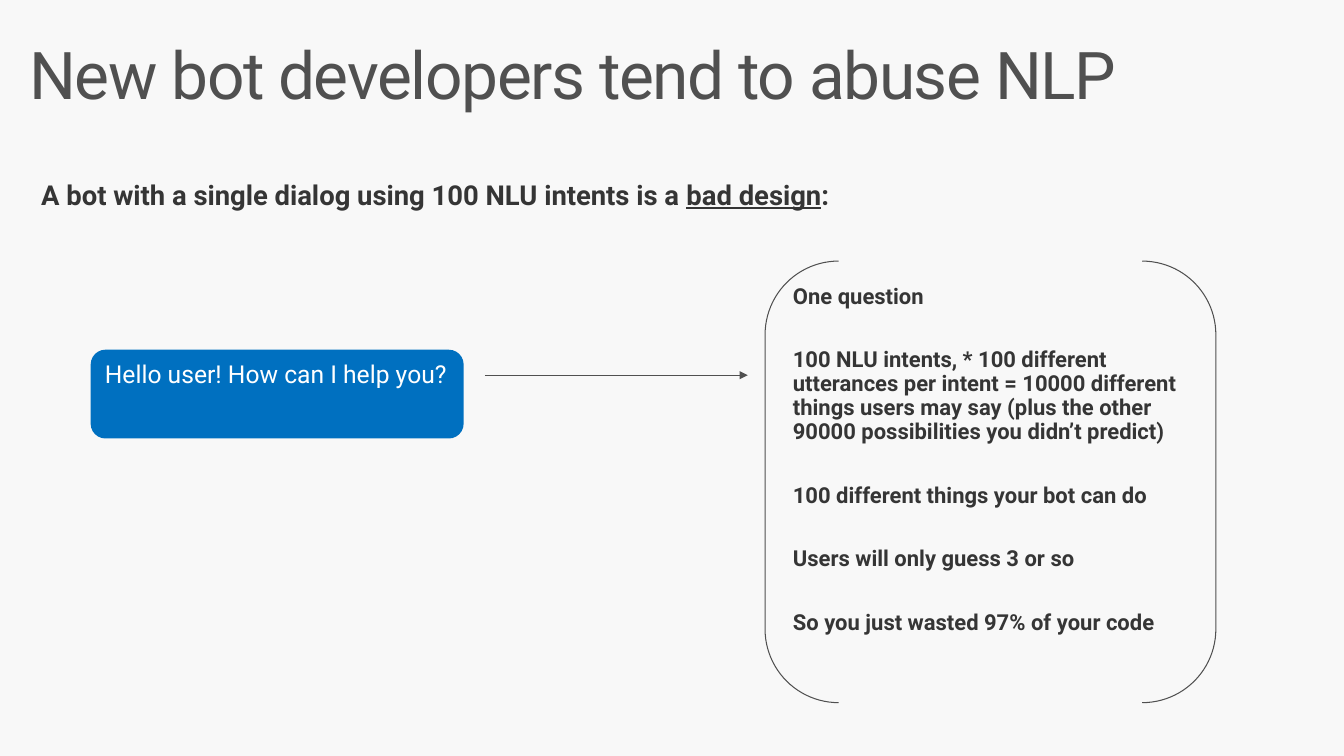
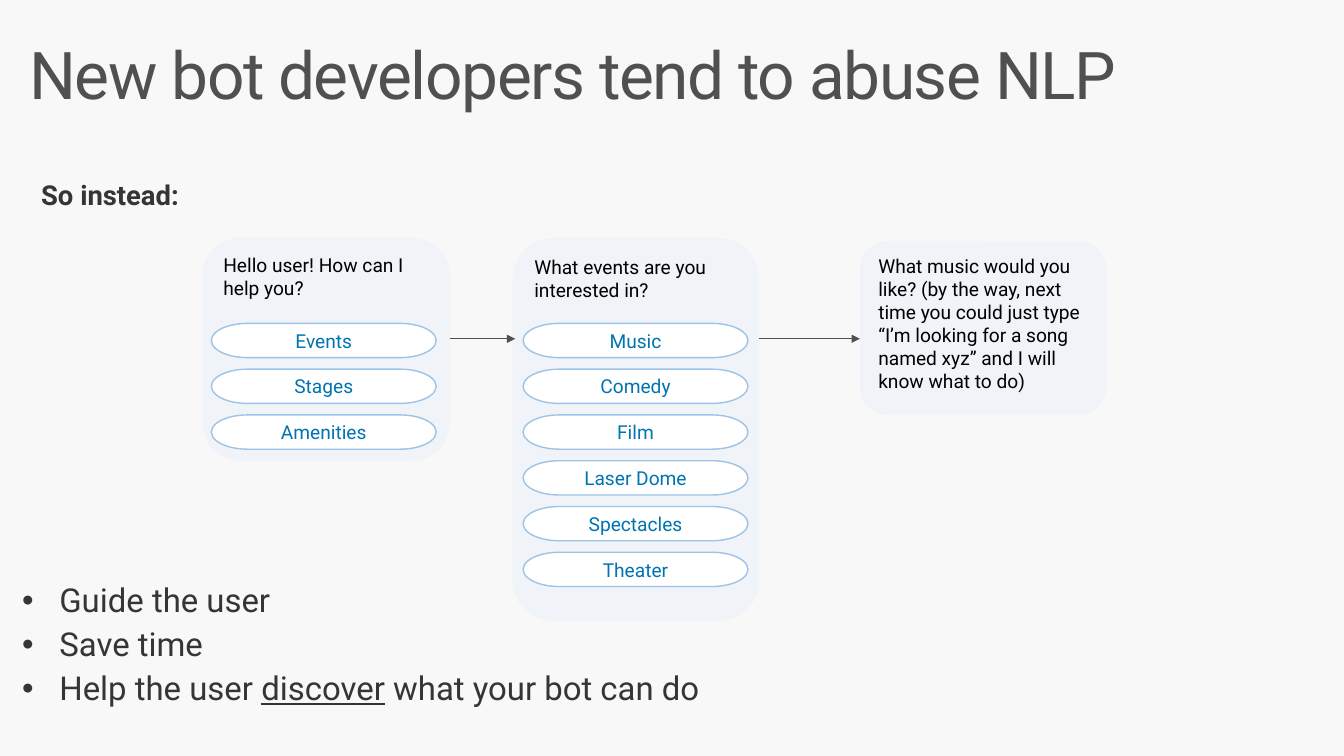
from lxml import etree
from pptx import Presentation
from pptx.dml.color import RGBColor
from pptx.enum import shapes, text
from pptx.oxml.ns import qn
from pptx.util import Pt


def tint(code):
    return RGBColor.from_string(code)


class Deck:
    """Holds the shared style and draws on the current slide."""

    font = "Roboto"
    back, head, ink = "F8F8F8", "505050", "353535"
    card_fill, edge, link = "F0F4F8", "9DC3E6", "0074AF"
    blue, white, black = "0070C0", "FFFFFF", "000000"
    kinds = shapes.MSO_SHAPE

    def __init__(self):
        self.prs = Presentation()
        self.prs.slide_width, self.prs.slide_height = Pt(960), Pt(540)

    def page(self, title, lead):
        self.slide = self.prs.slides.add_slide(self.prs.slide_layouts[6])
        fill = self.slide.background.fill
        fill.solid()
        fill.fore_color.rgb = tint(self.back)
        box = self.note([title], 9.4, 23, 918, 70.6, 47, self.head, pad=(11.5, 7.2))
        for run in box.text_frame.paragraphs[0].runs:
            run._r.get_or_add_rPr().set("spc", "-100")
        self.note([lead], 15, 119, 893, 44, 19.6, self.ink, bold=True)

    def put(self, para, line, size, color, bold=False):
        for i, part in enumerate(line.split("|")):
            run = para.add_run()
            run.text = part
            font = run.font
            font.name, font.size, font.bold = self.font, Pt(size), bold
            font.underline = i % 2 == 1
            font.color.rgb = tint(color)

    def note(self, lines, x, y, w, h, size, color, bold=False, gap=5.9,
             pad=(14.4, 11.5), dots=False):
        box = self.slide.shapes.add_textbox(Pt(x), Pt(y), Pt(w), Pt(h))
        frame = box.text_frame
        frame.word_wrap = True
        frame.margin_left = frame.margin_right = Pt(pad[0])
        frame.margin_top = frame.margin_bottom = Pt(pad[1])
        for i, line in enumerate(lines):
            para = frame.add_paragraph() if i else frame.paragraphs[0]
            para.line_spacing, para.space_after = 0.9, Pt(gap)
            if dots:
                props = para._p.get_or_add_pPr()
                props.set("marL", str(Pt(26.6)))
                props.set("indent", str(-Pt(26.6)))
                etree.SubElement(props, qn("a:buFont")).set("typeface", "Arial")
                etree.SubElement(props, qn("a:buChar")).set("char", "•")
            self.put(para, line, size, color, bold)
        return box

    def shape(self, kind, x, y, w, h, fill=None, line=None, width=0.75):
        item = self.slide.shapes.add_shape(kind, Pt(x), Pt(y), Pt(w), Pt(h))
        item.shadow.inherit = False
        if fill:
            item.fill.solid()
            item.fill.fore_color.rgb = tint(fill)
        else:
            item.fill.background()
        if line:
            item.line.color.rgb = tint(line)
            item.line.width = Pt(width)
        else:
            item.line.fill.background()
        return item

    def label(self, item, line, size, color, mid=False):
        frame = item.text_frame
        frame.word_wrap = True
        frame.vertical_anchor = text.MSO_ANCHOR.MIDDLE if mid else text.MSO_ANCHOR.TOP
        para = frame.paragraphs[0]
        para.alignment = text.PP_ALIGN.CENTER if mid else text.PP_ALIGN.LEFT
        self.put(para, line, size, color)

    def card(self, line, x, y, w, h, size=13.7, fill=card_fill, color=black):
        item = self.shape(self.kinds.ROUNDED_RECTANGLE, x, y, w, h, fill)
        self.label(item, line, size, color)

    def menu(self, names, x, y):
        for i, name in enumerate(names):
            pill = self.shape(self.kinds.FLOWCHART_TERMINATOR, x, y + i * 32.7,
                              160.6, 24.5, self.white, self.edge, 1)
            self.label(pill, name, 13.7, self.link, mid=True)

    def arrow(self, x, end, y):
        line = self.slide.shapes.add_connector(
            shapes.MSO_CONNECTOR.STRAIGHT, Pt(x), Pt(y), Pt(end), Pt(y))
        line.line.color.rgb = tint(self.head)
        line.line.width = Pt(0.75)
        props = line._element.spPr
        tail = etree.SubElement(props.find(qn("a:ln")), qn("a:tailEnd"))
        tail.set("type", "triangle")
        etree.SubElement(props, qn("a:effectLst"))


def main():
    deck = Deck()
    title = "New bot developers tend to abuse NLP"

    deck.page(title, "A bot with a single dialog using 100 NLU intents is a |bad design|:")
    deck.card("Hello user! How can I help you?", 64.8, 249.8, 266.4, 63.4,
              17.6, deck.blue, deck.white)
    deck.arrow(346.3, 534.2, 268)
    deck.note([
        "One question",
        "100 NLU intents, * 100 different utterances per intent = 10000 different "
        "things users may say (plus the other 90000 possibilities you didn’t predict)",
        "100 different things your bot can do",
        "Users will only guess 3 or so",
        "So you just wasted 97% of your code",
    ], 552, 192.2, 316, 275.8, 15.7, deck.ink, bold=True, gap=28.6)
    deck.shape(deck.kinds.DOUBLE_BRACKET, 546.5, 186.5, 322, 315.4, line=deck.head)

    deck.page(title, "So instead:")
    wide, top = 176.4, 231
    deck.card("Hello user! How can I help you?", 144.7, 170, wide, 159)
    deck.menu(["Events", "Stages", "Amenities"], 151, top)
    deck.card("What events are you interested in?", 366, 170, wide, 273.6)
    deck.menu(["Music", "Comedy", "Film", "Laser Dome", "Spectacles", "Theater"],
              373.7, top)
    deck.card("What music would you like? (by the way, next time you could just type "
              "“I’m looking for a song named xyz” and I will know what to do)",
              614.2, 172, wide, 124.6)
    deck.arrow(321.1, 368, 242)
    deck.arrow(542.4, 614.2, 242)
    deck.note(["Guide the user", "Save time",
               "Help the user |discover| what your bot can do"],
              1.4, 406, 927, 111.6, 23.5, deck.ink, dots=True)

    deck.prs.save("out.pptx")


if __name__ == "__main__":
    main()
